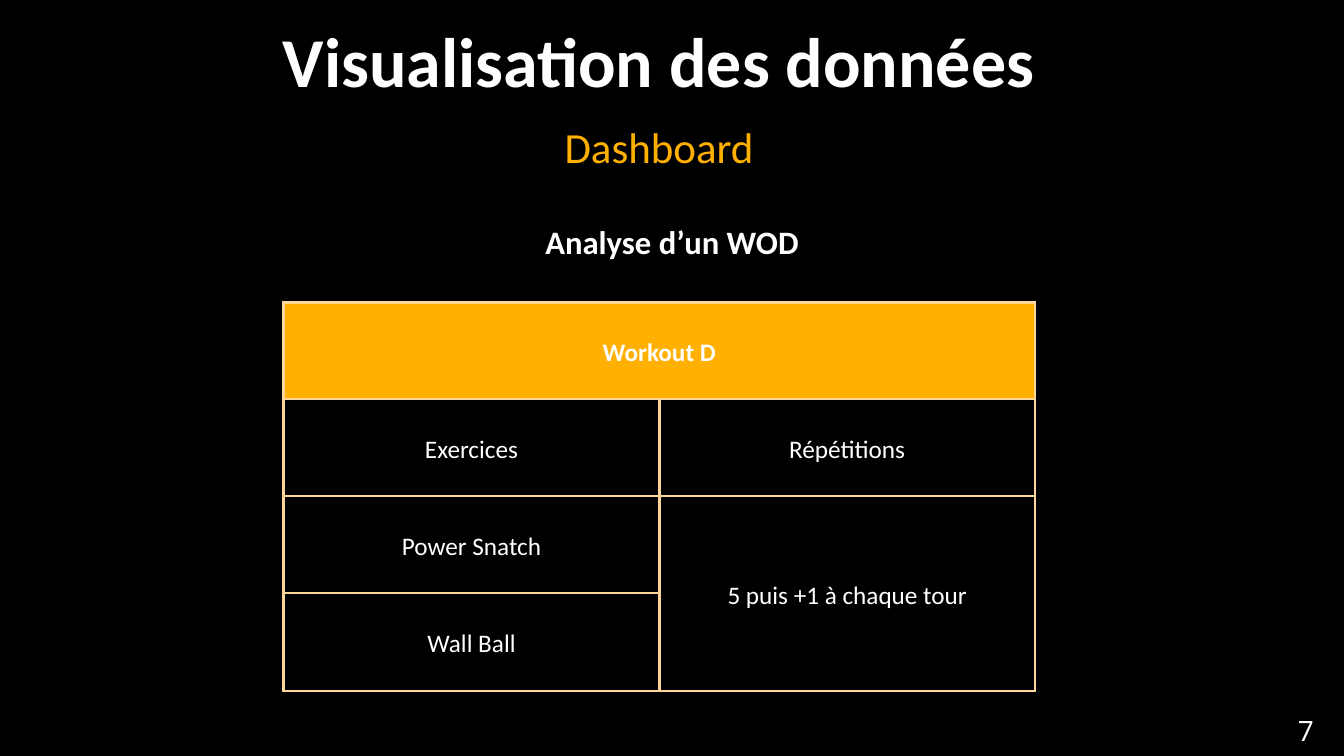
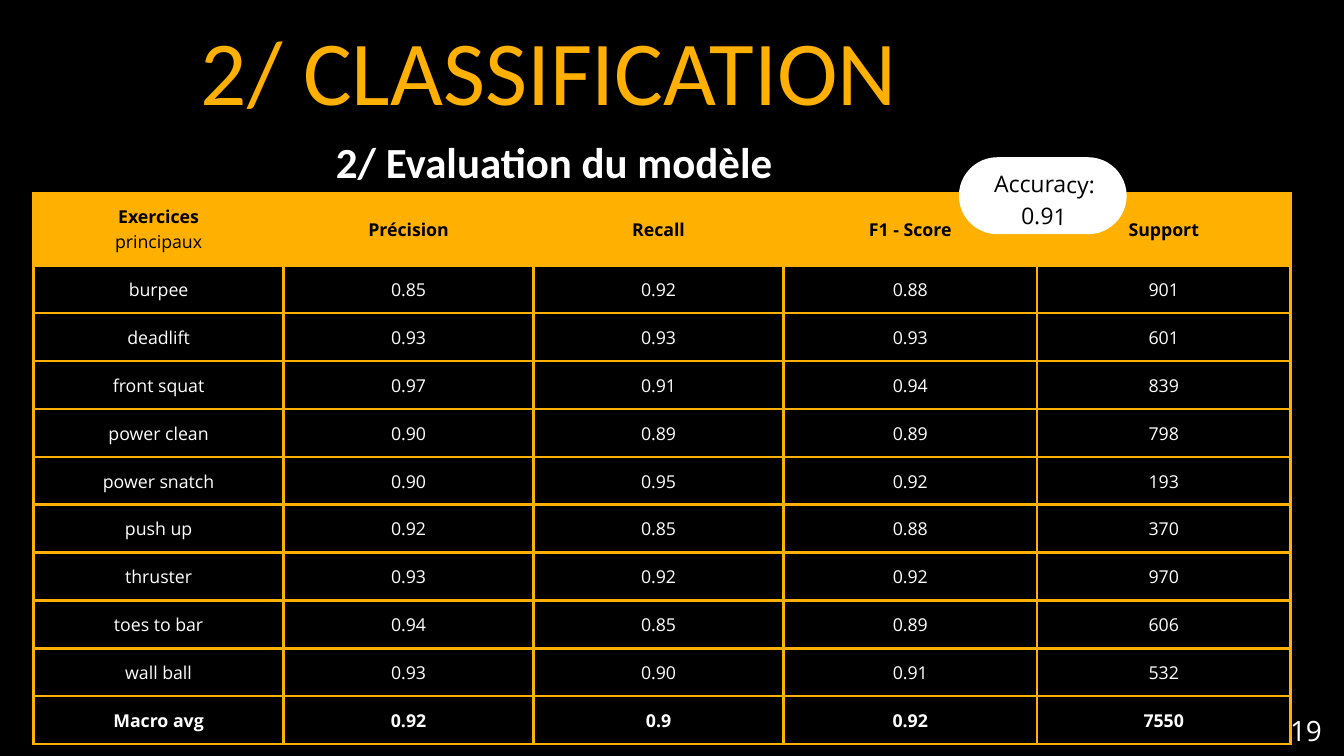
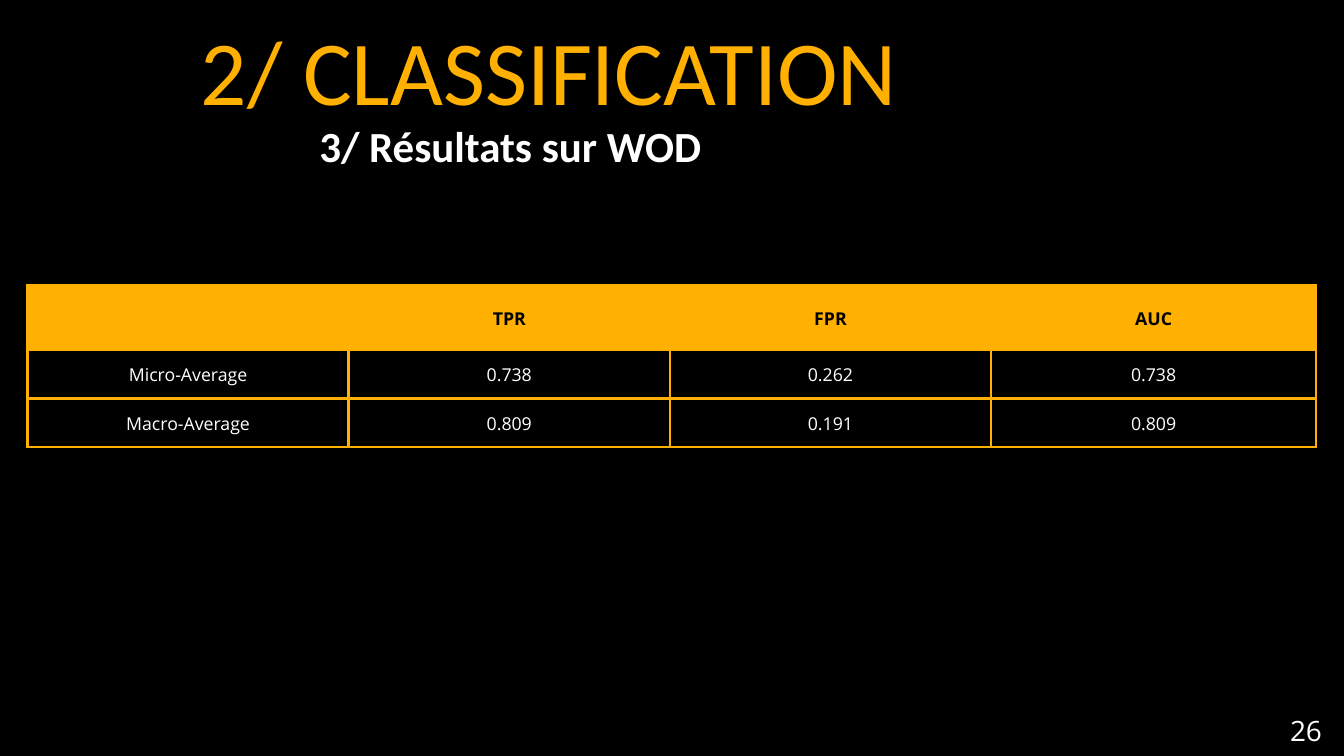
from lxml import etree
from pptx import Presentation
from pptx import util as u
from pptx.dml.color import RGBColor
from pptx.enum import shapes, text
from pptx.oxml import ns

# Shared look
BLACK, WHITE, GOLD, PEACH = "000000", "FFFFFF", "FFB000", "FFD699"
HEAD, BODY = "Calibri", "Open Sans"
LEFT, MID = text.PP_ALIGN.LEFT, text.PP_ALIGN.CENTER

# Text styles: font, size, line spacing, colour, bold
BIG = (HEAD, 75, 89.2, WHITE, True)
PART = (HEAD, 98, 110.7, GOLD, False)
TOPIC = (HEAD, 46, 54.7, GOLD, False)
STEP = (HEAD, 46, 54.7, WHITE, True)
LABEL = (HEAD, 35, 49, WHITE, True)
PAGE = (BODY, 30, 42, WHITE, False)
NOTE = (BODY, 24.6, 34.5, BLACK, False)
PLAN_TOP = (HEAD, 27, 37.8, WHITE, True)
PLAN = (HEAD, 27, 37.8, WHITE, False)
SCORE_TOP = (BODY, 19, 26.6, BLACK, True)
SCORE = (BODY, 19, 26.6, WHITE, False)
TOTAL = (BODY, 19, 26.6, WHITE, True)

SCORES = [
    ("Exercices\nprincipaux", "Précision", "Recall", "F1 - Score", "Support"),
    ("burpee", "0.85", "0.92", "0.88", "901"),
    ("deadlift", "0.93", "0.93", "0.93", "601"),
    ("front squat", "0.97", "0.91", "0.94", "839"),
    ("power clean", "0.90", "0.89", "0.89", "798"),
    ("power snatch", "0.90", "0.95", "0.92", "193"),
    ("push up", "0.92", "0.85", "0.88", "370"),
    ("thruster", "0.93", "0.92", "0.92", "970"),
    ("toes to bar", "0.94", "0.85", "0.89", "606"),
    ("wall ball", "0.93", "0.90", "0.91", "532"),
    ("Macro avg", "0.92", "0.9", "0.92", "7550"),
]
RATES = [
    ("", "TPR", "FPR", "AUC"),
    ("Micro-Average", "0.738", "0.262", "0.738"),
    ("Macro-Average", "0.809", "0.191", "0.809"),
]
WORKOUT = [
    ("Workout D", ""),
    ("Exercices", "Répétitions"),
    ("Power Snatch", "5 puis +1 à chaque tour"),
    ("Wall Ball", ""),
]


def color(code):
    return RGBColor.from_string(code)


def paint(fill, code):
    fill.solid()
    fill.fore_color.rgb = color(code)


def write(frame, words, style, align=MID):
    """Fill a text frame, one paragraph per line of words."""
    name, size, pitch, code, bold = style
    frame.text = words
    for para in frame.paragraphs:
        para.alignment = align
        para.line_spacing = u.Pt(pitch)
        font = para.font
        font.name, font.size, font.bold = name, u.Pt(size), bold
        font.color.rgb = color(code)


def place(shape, words, style, align=MID, wrap=True):
    """Put words at the top of a box without insets."""
    frame = shape.text_frame
    frame.margin_left = frame.margin_right = 0
    frame.margin_top = frame.margin_bottom = 0
    frame.vertical_anchor = text.MSO_ANCHOR.TOP
    frame.auto_size = text.MSO_AUTO_SIZE.NONE
    frame.word_wrap = wrap
    write(frame, words, style, align)


def label(slide, area, words, style, align=MID, wrap=True):
    box = slide.shapes.add_textbox(*map(u.Cm, area))
    place(box, words, style, align, wrap)
    return box


def start(deck, area, title, style, align, page):
    """Add a slide with its title and page number."""
    slide = deck.slides.add_slide(deck.slide_layouts[5])
    head = slide.shapes.title
    head.left, head.top, head.width, head.height = map(u.Cm, area)
    place(head, title, style, align)
    label(slide, (49.15, 26.75, 0.43, 0.56), page, PAGE, wrap=False)
    return slide


def chapter(deck, page):
    area = (7.59, 0.79, 35.61, 4.72)
    return start(deck, area, "2/ CLASSIFICATION", PART, LEFT, page)


def border(cell, code):
    """Draw a 3 pt line on all four sides of a cell."""
    props = cell._tc.get_or_add_tcPr()
    for spot, side in enumerate(("lnL", "lnR", "lnT", "lnB")):
        line = etree.Element(ns.qn("a:" + side), w=str(u.Pt(3)))
        fill = etree.SubElement(line, ns.qn("a:solidFill"))
        etree.SubElement(fill, ns.qn("a:srgbClr"), val=code)
        props.insert(spot, line)


def grid(slide, left, top, cols, rows, data, looks, edge, inset):
    """Add a table with a gold header; looks holds one style per row."""
    area = map(u.Cm, (left, top, sum(cols), sum(rows)))
    table = slide.shapes.add_table(len(rows), len(cols), *area).table
    table.first_row = table.horz_banding = False
    for col, width in zip(table.columns, cols):
        col.width = u.Cm(width)
    for row, height in zip(table.rows, rows):
        row.height = u.Cm(height)
    for r, (line, style) in enumerate(zip(data, looks)):
        for c, words in enumerate(line):
            cell = table.cell(r, c)
            paint(cell.fill, BLACK if r else GOLD)
            border(cell, edge)
            cell.margin_left = cell.margin_right = u.Cm(inset)
            cell.margin_top = cell.margin_bottom = u.Cm(inset)
            cell.vertical_anchor = text.MSO_ANCHOR.MIDDLE
            write(cell.text_frame, words, style)
    return table


def badge(slide, words):
    """White pill with a slightly tilted note."""
    area = map(u.Cm, (36.47, 6.17, 5.89, 2.46))
    pill = slide.shapes.add_shape(shapes.MSO_SHAPE.ROUNDED_RECTANGLE, *area)
    pill.adjustments[0] = 0.5
    pill.shadow.inherit = False
    paint(pill.fill, WHITE)
    paint(pill.line.fill, WHITE)
    pill.line.width = u.Pt(12.75)
    label(slide, (36.2, 6.25, 6.55, 2.31), words, NOTE).rotation = 1


def main():
    deck = Presentation()
    deck.slide_width, deck.slide_height = u.Cm(50.8), u.Cm(28.58)
    paint(deck.slide_master.background.fill, BLACK)

    # Workout plan
    slide = start(deck, (4.65, 0.69, 40.51, 3.76),
                  "Visualisation des données", BIG, MID, "7")
    label(slide, (17.81, 4.57, 14.2, 2.26), "Dashboard", TOPIC)
    label(slide, (18.85, 8.15, 13.11, 1.96), "Analyse d’un WOD", LABEL)
    plan = grid(slide, 10.72, 11.43, [14.2] * 2, [3.66] * 3 + [3.71],
                WORKOUT, [PLAN_TOP] + [PLAN] * 3, PEACH, 0.53)
    plan.cell(0, 0).merge(plan.cell(0, 1))
    plan.cell(2, 1).merge(plan.cell(3, 1))

    # Model scores
    slide = chapter(deck, "19")
    label(slide, (12.7, 5.13, 22.12, 2.26), "2/ Evaluation du modèle", STEP, LEFT)
    table = grid(slide, 1.27, 7.29, [9.45] * 3 + [9.58] * 2, [2.74] + [1.81] * 10,
                 SCORES, [SCORE_TOP] + [SCORE] * 9 + [TOTAL], GOLD, 0.28)
    table.cell(0, 0).text_frame.paragraphs[1].font.bold = False
    badge(slide, "Accuracy:\n0.91")

    # Results on the workout
    slide = chapter(deck, "26")
    label(slide, (12.07, 4.55, 20.5, 2.26), "3/ Résultats sur WOD", STEP, LEFT)
    grid(slide, 1.04, 10.8, [12.14] * 3 + [12.29], [2.44] + [1.83] * 2,
         RATES, [SCORE_TOP] + [SCORE] * 2, GOLD, 0.28)

    deck.save("out.pptx")


if __name__ == "__main__":
    main()
